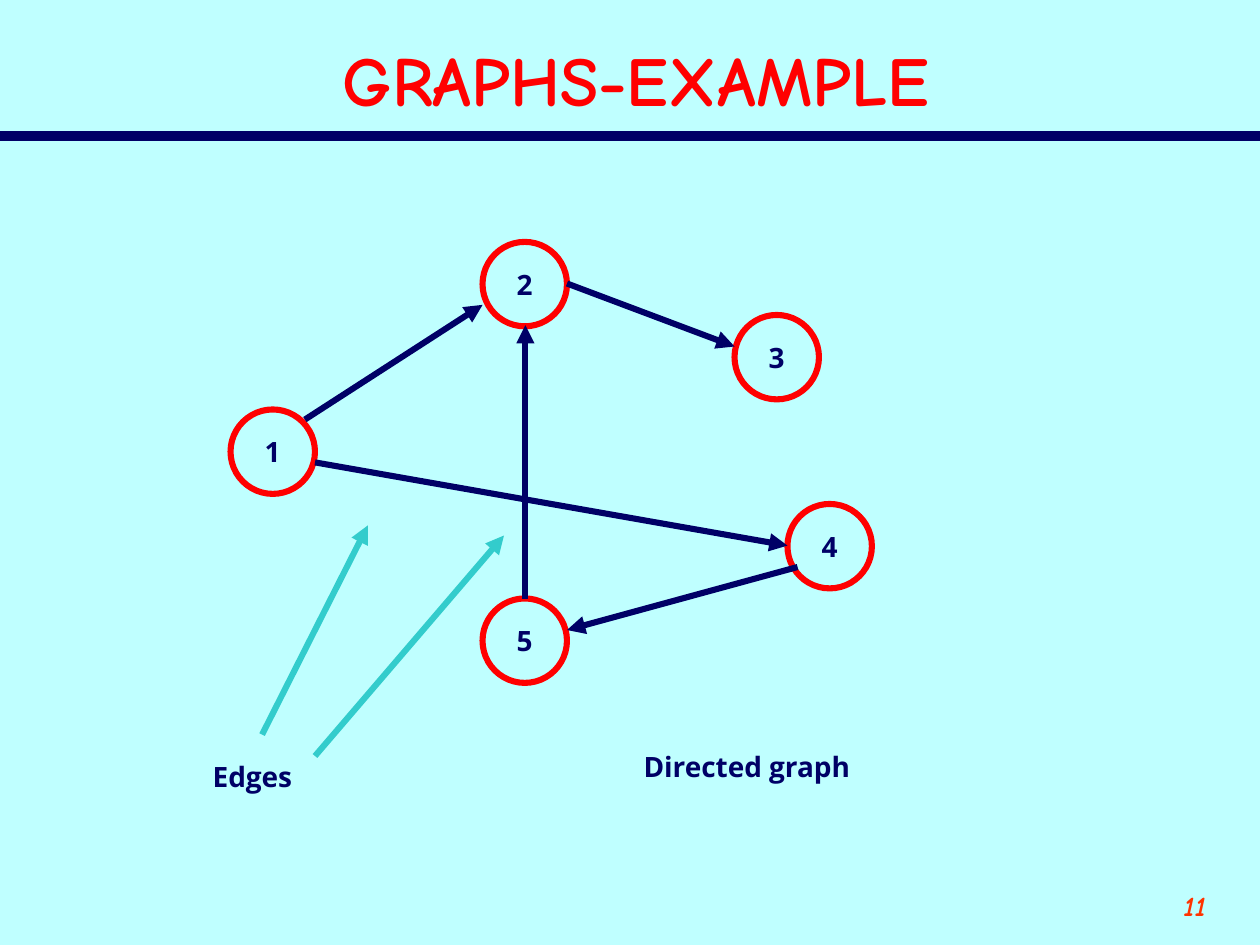
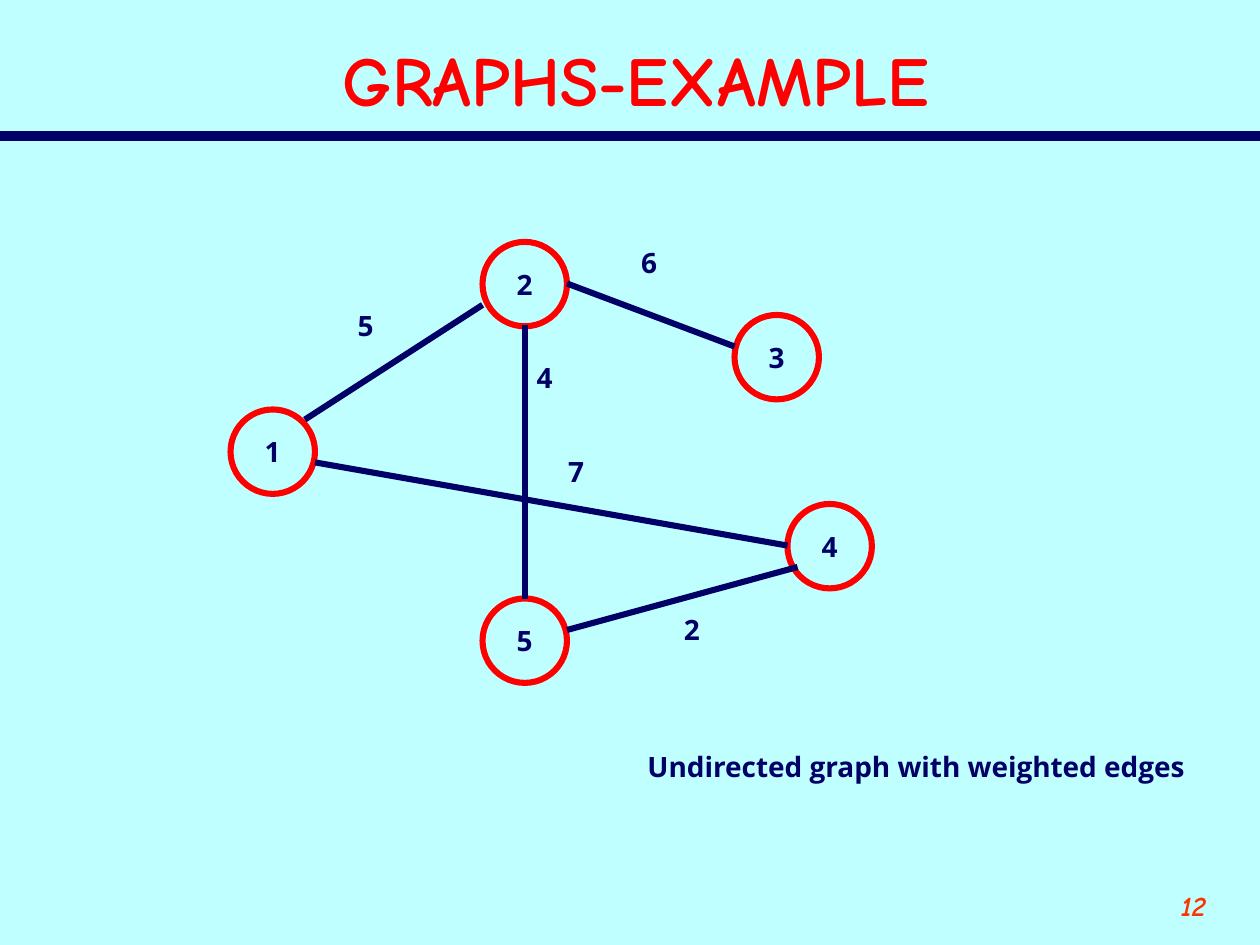
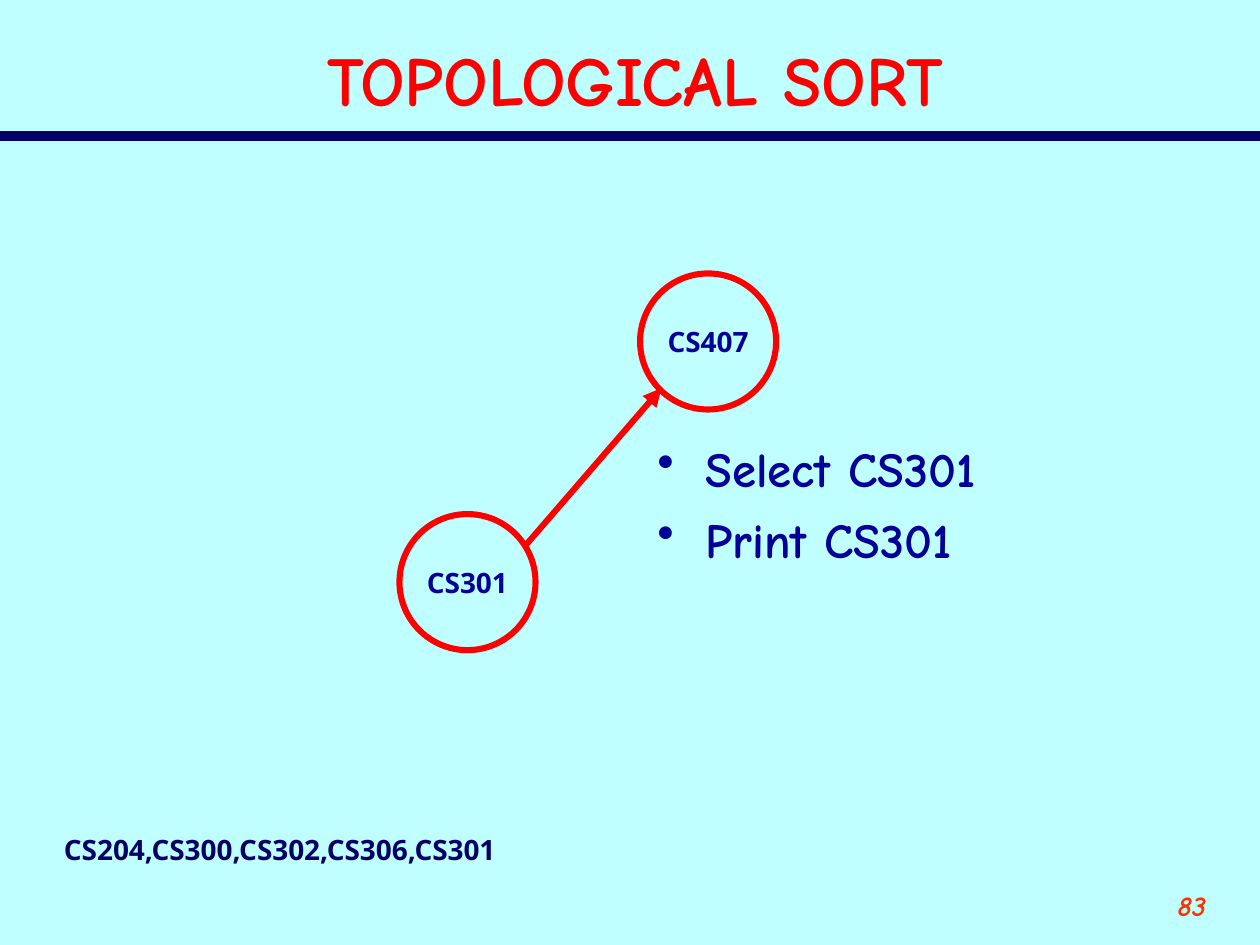
"""Build three slides on graphs and topological sort."""
from dataclasses import dataclass
from typing import Any

from lxml import etree
from pptx import Presentation
from pptx.dml.color import RGBColor
from pptx.enum.shapes import MSO_CONNECTOR, MSO_SHAPE
from pptx.enum.text import MSO_ANCHOR, MSO_AUTO_SIZE, PP_ALIGN
from pptx.oxml.ns import qn
from pptx.slide import Slide
from pptx.text.text import TextFrame
from pptx.util import Inches, Pt

STRAIGHT = MSO_CONNECTOR.STRAIGHT
OVAL = MSO_SHAPE.OVAL
TOP, MIDDLE = MSO_ANCHOR.TOP, MSO_ANCHOR.MIDDLE
FIT_TEXT = MSO_AUTO_SIZE.SHAPE_TO_FIT_TEXT
LEFT, CENTER, RIGHT = PP_ALIGN.LEFT, PP_ALIGN.CENTER, PP_ALIGN.RIGHT

SKY, NAVY, BLUE = "BFFFFF", "000066", "000099"
RED, ORANGE, TEAL = "FF0000", "FF3300", "33CCCC"
STROKE, RULE_STROKE = 3.5, 6
SMALL_NODE, LARGE_NODE = 0.67, 1.08
LABEL_HEIGHT = 0.37
WEIGHT_WIDTH = 0.32
BULLET_INDENT = 0.38

LABEL_FONT = {"name": "Open Sans", "size": Pt(16), "bold": True}
TITLE_FONT = {"name": "Comic Neue", "size": Pt(40), "bold": True}
NUMBER_FONT = {"name": "Comic Neue", "size": Pt(16), "bold": True, "italic": True}
STEP_FONT = {"name": "Comic Neue", "size": Pt(28), "bold": True}


@dataclass(frozen=True)
class Node:
    """A circled vertex of a graph."""
    text: str
    left: float
    top: float
    size: float = SMALL_NODE
    color: str = NAVY


@dataclass(frozen=True)
class Edge:
    """A straight line between two points, with or without an arrowhead."""
    x1: float
    y1: float
    x2: float
    y2: float
    color: str = NAVY
    width: float = STROKE
    directed: bool = True


@dataclass(frozen=True)
class Label:
    """A single-line caption."""
    text: str
    left: float
    top: float
    width: float = WEIGHT_WIDTH


HEADER_RULE = Edge(0, 1.08, 10, 1.08, width=RULE_STROKE, directed=False)
GRAPH_NODES = [
    Node("1", 1.83, 3.25),
    Node("2", 3.83, 1.92),
    Node("5", 3.83, 4.75),
    Node("3", 5.83, 2.5),
    Node("4", 6.25, 4),
]
GRAPH_EDGES = [
    (2.42, 3.33, 3.83, 2.42),
    (4.5, 2.25, 5.83, 2.75),
    (4.17, 4.75, 4.17, 2.58),
    (2.5, 3.67, 6.25, 4.33),
    (6.33, 4.5, 4.5, 5),
]
EDGE_POINTERS = [
    Edge(2.08, 5.83, 2.92, 4.17, TEAL),
    Edge(2.5, 6, 4, 4.25, TEAL),
]
DIRECTED_LABELS = [
    Label("Edges", 1.59, 5.98, 0.84),
    Label("Directed graph", 5.01, 5.9, 1.86),
]
WEIGHTED_LABELS = [
    Label("Undirected graph with weighted edges", 5.04, 5.9, 4.52),
    Label("5", 2.74, 2.4),
    Label("7", 4.41, 3.56),
    Label("6", 4.99, 1.9),
    Label("4", 4.16, 2.81),
    Label("2", 5.33, 4.81),
]
COURSE_NODES = [
    Node("CS301", 3.17, 4.08, LARGE_NODE, BLUE),
    Node("CS407", 5.08, 2.17, LARGE_NODE, BLUE),
]
COURSE_EDGE = Edge(4.17, 4.33, 5.25, 3.08, RED)
PRINTED_COURSES = Label("CS204,CS300,CS302,CS306,CS301", 0.41, 6.56, 3.67)
STEPS = ["Select CS301", "Print CS301"]


def rgb(color: str) -> RGBColor:
    """Turn a hex string into a colour."""
    return RGBColor.from_string(color)


def apply(target: Any, values: dict[str, Any]) -> None:
    """Set each named attribute on the target."""
    for name, value in values.items():
        setattr(target, name, value)


def write(frame: TextFrame, lines: list[str], font: dict[str, Any], color: str,
          align: PP_ALIGN = LEFT) -> None:
    """Write one formatted paragraph per line."""
    for index, line in enumerate(lines):
        paragraph = frame.add_paragraph() if index else frame.paragraphs[0]
        paragraph.alignment = align
        run = paragraph.add_run()
        run.text = line
        apply(run.font, font)
        run.font.color.rgb = rgb(color)


def add_text(slide: Slide, box: tuple[float, float, float, float],
             **frame_format: Any) -> TextFrame:
    """Add an empty text box with the given frame format."""
    frame = slide.shapes.add_textbox(*map(Inches, box)).text_frame
    apply(frame, {"word_wrap": True, "vertical_anchor": TOP, **frame_format})
    return frame


def add_label(slide: Slide, label: Label) -> None:
    """Add a caption that does not wrap."""
    frame = add_text(slide, (label.left, label.top, label.width, LABEL_HEIGHT),
                     word_wrap=False, auto_size=FIT_TEXT)
    write(frame, [label.text], LABEL_FONT, NAVY)


def add_node(slide: Slide, node: Node) -> None:
    """Add a red circle with its name in the middle."""
    box = (node.left, node.top, node.size, node.size)
    circle = slide.shapes.add_shape(OVAL, *map(Inches, box))
    circle.shadow.inherit = False
    circle.fill.background()
    circle.line.color.rgb = rgb(RED)
    circle.line.width = Pt(STROKE)
    apply(circle.text_frame, {"word_wrap": False, "vertical_anchor": MIDDLE})
    write(circle.text_frame, [node.text], LABEL_FONT, node.color, CENTER)


def add_edge(slide: Slide, edge: Edge) -> None:
    """Add a line, ending in an arrowhead if it is directed."""
    ends = (edge.x1, edge.y1, edge.x2, edge.y2)
    connector = slide.shapes.add_connector(STRAIGHT, *map(Inches, ends))
    connector.line.color.rgb = rgb(edge.color)
    connector.line.width = Pt(edge.width)
    if edge.directed:
        etree.SubElement(connector.line._get_or_add_ln(), qn("a:tailEnd"), type="triangle")
    etree.SubElement(connector._element.spPr, qn("a:effectLst"))


def add_steps(slide: Slide, steps: list[str]) -> None:
    """Add the bulleted steps beside the graph."""
    frame = add_text(slide, (5.12, 1.25, 4.54, 5.92), margin_top=Inches(2.23))
    write(frame, steps, STEP_FONT, BLUE)
    for paragraph in frame.paragraphs:
        paragraph.space_before = Pt(7)
        properties = paragraph._p.get_or_add_pPr()
        properties.set("marL", str(Inches(BULLET_INDENT)))
        properties.set("indent", str(-Inches(BULLET_INDENT)))
        bullet_color = etree.SubElement(properties, qn("a:buClr"))
        etree.SubElement(bullet_color, qn("a:srgbClr"), val=BLUE)
        etree.SubElement(properties, qn("a:buChar"), char="•")


def add_slide(deck: Any, title: str, number: int, nodes: list[Node],
              edges: list[Edge], labels: list[Label]) -> Slide:
    """Add a slide with its title, rule, number and graph."""
    slide = deck.slides.add_slide(deck.slide_layouts[6])
    slide.background.fill.solid()
    slide.background.fill.fore_color.rgb = rgb(SKY)
    add_edge(slide, HEADER_RULE)
    write(add_text(slide, (8.67, 7, 1, 0.5)), [str(number)], NUMBER_FONT, ORANGE, RIGHT)
    heading = add_text(slide, (0.42, 0.25, 9.25, 0.75), vertical_anchor=MIDDLE)
    write(heading, [title], TITLE_FONT, RED, CENTER)
    for node in nodes:
        add_node(slide, node)
    for edge in edges:
        add_edge(slide, edge)
    for label in labels:
        add_label(slide, label)
    return slide


def main() -> None:
    """Build and save the deck."""
    deck = Presentation()
    apply(deck, {"slide_width": Inches(10), "slide_height": Inches(7.5)})
    arrows = [Edge(*ends) for ends in GRAPH_EDGES]
    lines = [Edge(*ends, directed=False) for ends in GRAPH_EDGES]
    add_slide(deck, "GRAPHS-EXAMPLE", 11, GRAPH_NODES, arrows + EDGE_POINTERS, DIRECTED_LABELS)
    add_slide(deck, "GRAPHS-EXAMPLE", 12, GRAPH_NODES, lines, WEIGHTED_LABELS)
    sorting = add_slide(deck, "TOPOLOGICAL SORT", 83, COURSE_NODES, [COURSE_EDGE],
                        [PRINTED_COURSES])
    add_steps(sorting, STEPS)
    deck.save("out.pptx")


if __name__ == "__main__":
    main()
